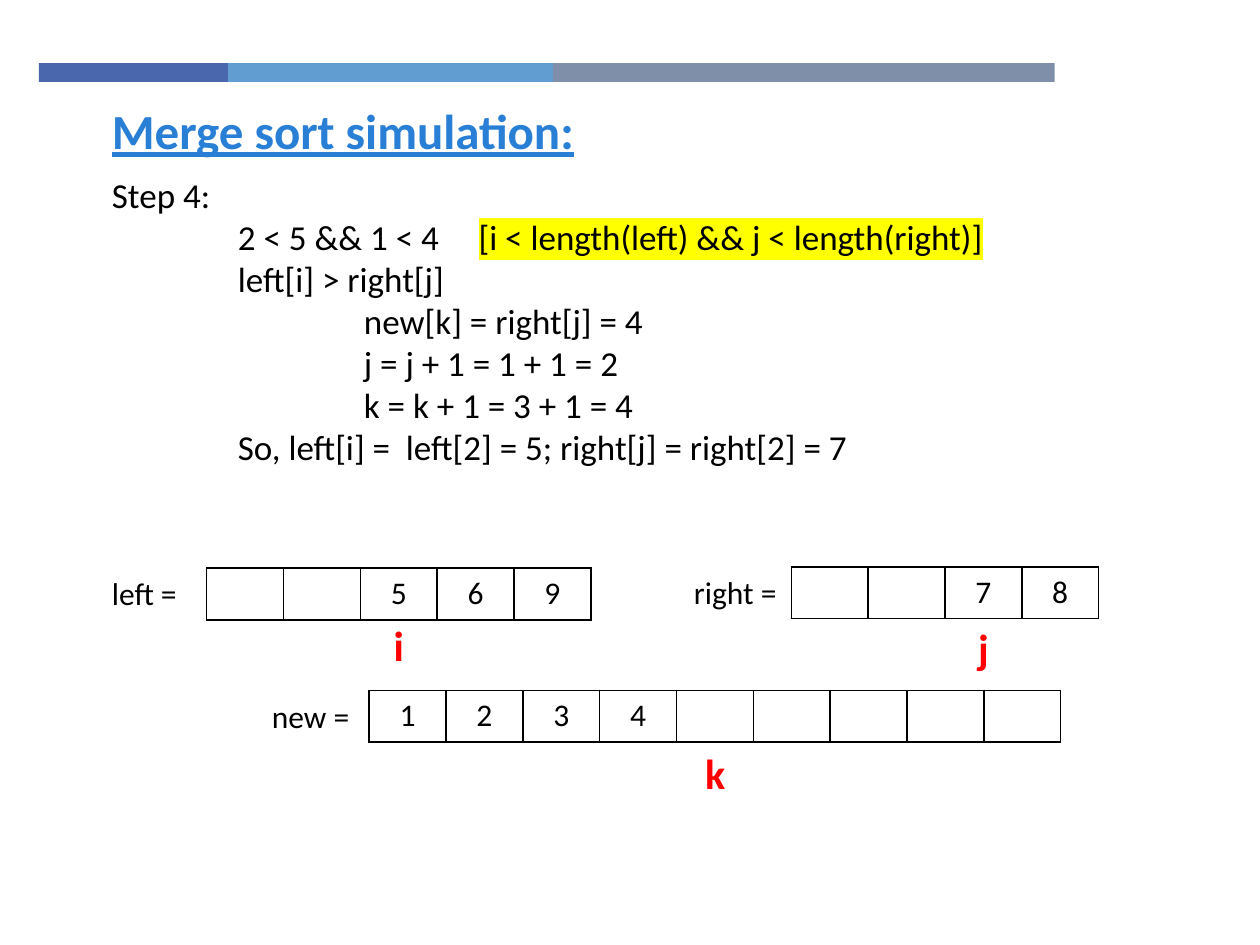
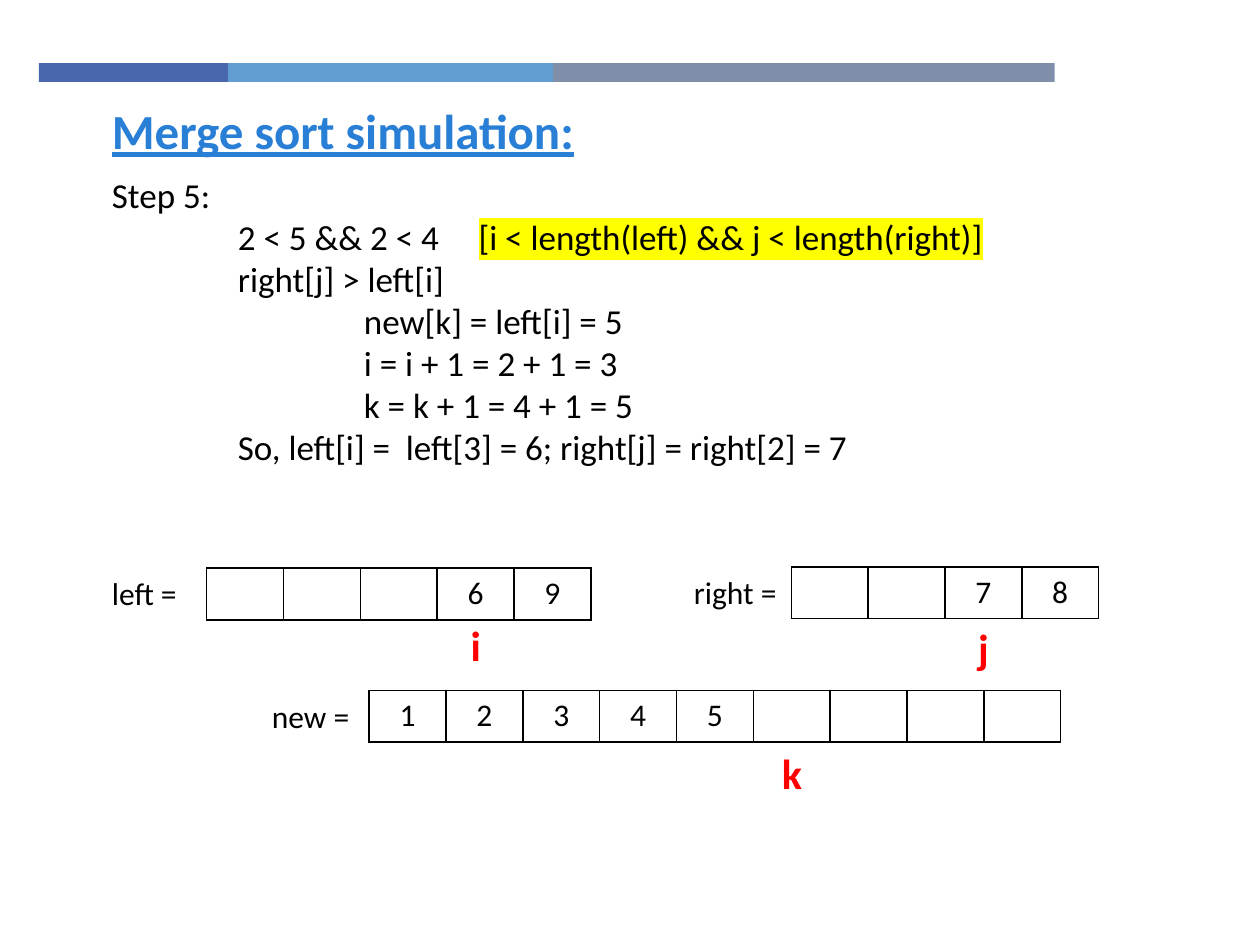
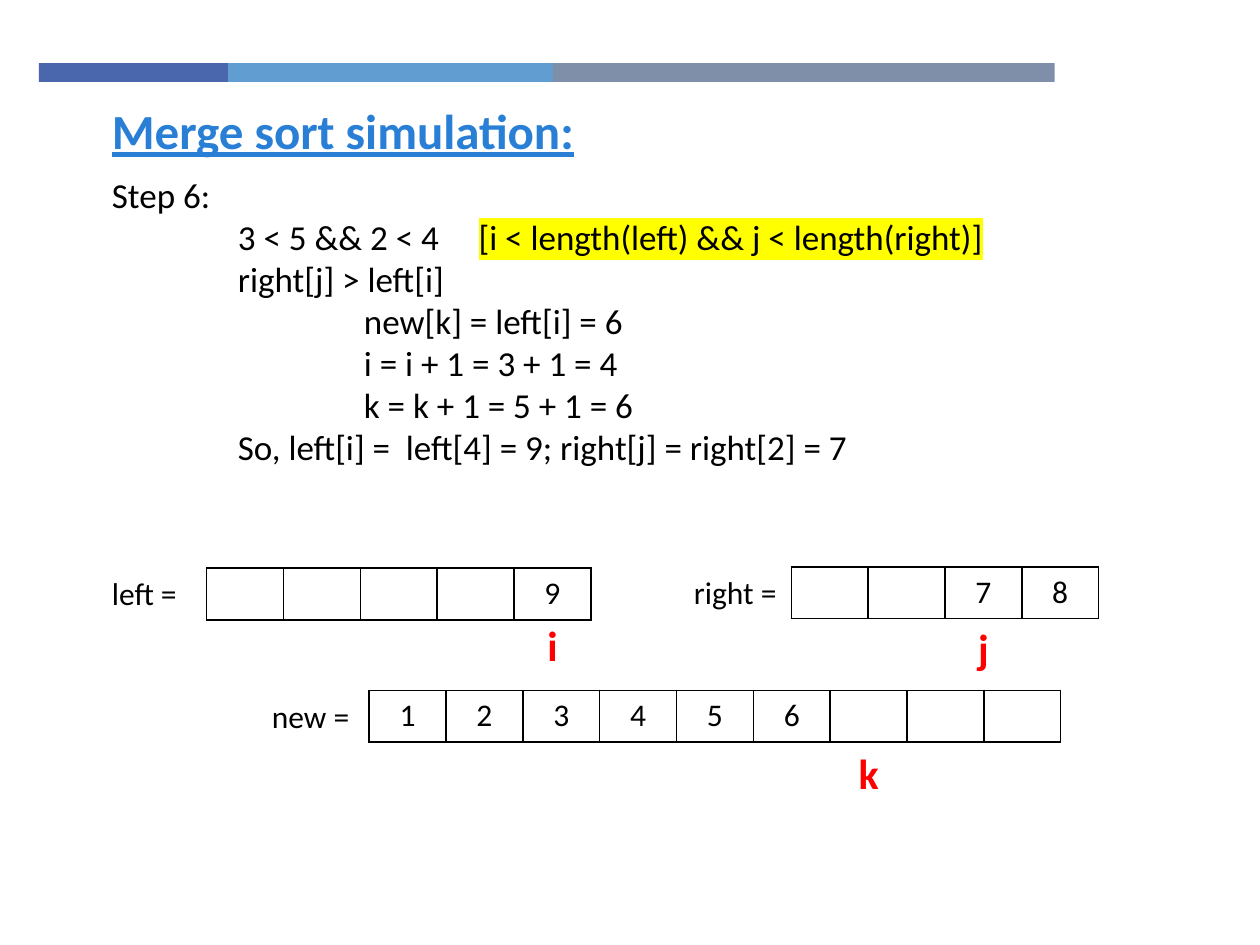
from lxml import etree
from pptx import Presentation
from pptx import util as u
from pptx.dml.color import RGBColor
from pptx.enum import shapes, text
from pptx.oxml.ns import qn

# Shared look
BLACK, WHITE, RED, BLUE, YELLOW = "000000", "FFFFFF", "FF0000", "297FD5", "FFFF00"
BAND = [(1.5, "4A66AC"), (2.58, "629DD1"), (3.98, "7F8FA9")]
BAND_LEFT, BAND_TOP, BAND_HEIGHT = 0.31, 0.5, 0.15
MARGIN = 0.79
CELL, ROW = 0.61, 0.41
LABEL_WIDTH, POINTER_WIDTH = 0.87, 0.38
TAB_STOPS = (1, 2, 2.91)
CONDITION = "[i < length(left) && j < length(right)]"

# Array name: label left, first cell left, top, pointer name, pointer top
ARRAYS = {
    "left": (MARGIN, 1.64, 4.51, "i", 4.87),
    "right": (5.41, 6.28, 4.5, "j", 4.89),
    "new": (2.06, 2.93, 5.48, "k", 5.88),
}
LEFT, RIGHT, MERGED = [1, 2, 5, 6, 9], [3, 4, 7, 8], range(1, 10)

# Each step: its working, then the positions of i, j and k after it
STEPS = [
    (["Step 4:", f"\t2 < 5 && 1 < 4\t{CONDITION}", "\tleft[i] > right[j]",
      "\t\tnew[k] = right[j] = 4", "\t\tj = j + 1 = 1 + 1 = 2", "\t\tk = k + 1 = 3 + 1 = 4",
      "\tSo, left[i] =  left[2] = 5; right[j] = right[2] = 7"], 2, 2, 4),
    (["Step 5:", f"\t2 < 5 && 2 < 4\t{CONDITION}", "\tright[j] > left[i]",
      "\t\tnew[k] = left[i] = 5", "\t\ti = i + 1 = 2 + 1 = 3", "\t\tk = k + 1 = 4 + 1 = 5",
      "\tSo, left[i] =  left[3] = 6; right[j] = right[2] = 7"], 3, 2, 5),
    (["Step 6:", f"\t3 < 5 && 2 < 4\t{CONDITION}", "\tright[j] > left[i]",
      "\t\tnew[k] = left[i] = 6", "\t\ti = i + 1 = 3 + 1 = 4", "\t\tk = k + 1 = 5 + 1 = 6",
      "\tSo, left[i] =  left[4] = 9; right[j] = right[2] = 7"], 4, 2, 6),
]


def paint(target, color):
    """Give a fill a solid colour from a hex string."""
    target.solid()
    target.fore_color.rgb = RGBColor.from_string(color)


def write(frame, lines, size=18, color=BLACK, bold=False, underline=False,
          centered=False, marked=None, tabs=()):
    """Fill a text frame, one paragraph a line, highlighting the marked words."""
    frame.word_wrap = True
    for number, line in enumerate(lines):
        paragraph = frame.add_paragraph() if number else frame.paragraphs[0]
        paragraph.alignment = text.PP_ALIGN.CENTER if centered else text.PP_ALIGN.LEFT
        if tabs:
            stops = etree.SubElement(paragraph._p.get_or_add_pPr(), qn("a:tabLst"))
            for stop in tabs:
                etree.SubElement(stops, qn("a:tab"), pos=str(u.Inches(stop)), algn="l")
        for words in filter(None, line.partition(marked) if marked else [line]):
            run = paragraph.add_run()
            run.text = words
            font = run.font
            font.name, font.size, font.bold, font.underline = "Calibri", u.Pt(size), bold, underline
            paint(font.fill, color)
            if words == marked:
                highlight = etree.Element(qn("a:highlight"))
                etree.SubElement(highlight, qn("a:srgbClr"), val=YELLOW)
                run._r.rPr.find(qn("a:solidFill")).addnext(highlight)


deck = Presentation()
deck.slide_width, deck.slide_height = u.Inches(10), u.Inches(7.5)

for working, i, j, k in STEPS:
    slide = deck.slides.add_slide(deck.slide_layouts[6])

    # Colour band
    band_left = BAND_LEFT
    for width, color in BAND:
        stripe = slide.shapes.add_shape(
            shapes.MSO_SHAPE.RECTANGLE,
            *map(u.Inches, (band_left, BAND_TOP, width, BAND_HEIGHT)))
        stripe.shadow.inherit = False
        paint(stripe.fill, color)
        stripe.line.fill.background()
        band_left += width

    # Title and working
    captions = [
        ((MARGIN, 0.75, 8.24, 0.57), ["Merge sort simulation:"],
         dict(size=28, color=BLUE, bold=True, underline=True)),
        ((MARGIN, 1.33, 8.16, 2.76), working,
         dict(size=20, marked=CONDITION, tabs=TAB_STOPS)),
    ]

    # Arrays: taken values leave left and right, merged values fill new
    contents = {
        "left": [n if at >= i else "" for at, n in enumerate(LEFT)],
        "right": [n if at >= j else "" for at, n in enumerate(RIGHT)],
        "new": [n if at < k else "" for at, n in enumerate(MERGED)],
    }
    for (name, values), position in zip(contents.items(), (i, j, k)):
        label_left, first, top, pointer, pointer_top = ARRAYS[name]
        grid = slide.shapes.add_table(
            1, len(values), *map(u.Inches, (first, top, CELL * len(values), ROW))).table
        grid.first_row = grid.horz_banding = False
        for cell, value in zip(grid.rows[0].cells, values):
            write(cell.text_frame, [str(value)], centered=True)
            for side in ("a:lnL", "a:lnR", "a:lnT", "a:lnB"):
                border = etree.SubElement(cell._tc.get_or_add_tcPr(), qn(side), w=str(u.Pt(1)))
                ink = etree.SubElement(border, qn("a:solidFill"))
                etree.SubElement(ink, qn("a:srgbClr"), val=BLACK)
            paint(cell.fill, WHITE)

        # Label before the array, pointer centred under its cell
        pointer_left = first + (position + 0.5) * CELL - POINTER_WIDTH / 2
        captions += [
            ((label_left, top, LABEL_WIDTH, ROW), [f"{name} ="], {}),
            ((pointer_left, pointer_top, POINTER_WIDTH, 0.5), [pointer],
             dict(size=24, color=RED, bold=True, centered=True)),
        ]

    for place, lines, look in captions:
        write(slide.shapes.add_textbox(*map(u.Inches, place)).text_frame, lines, **look)

deck.save("out.pptx")
